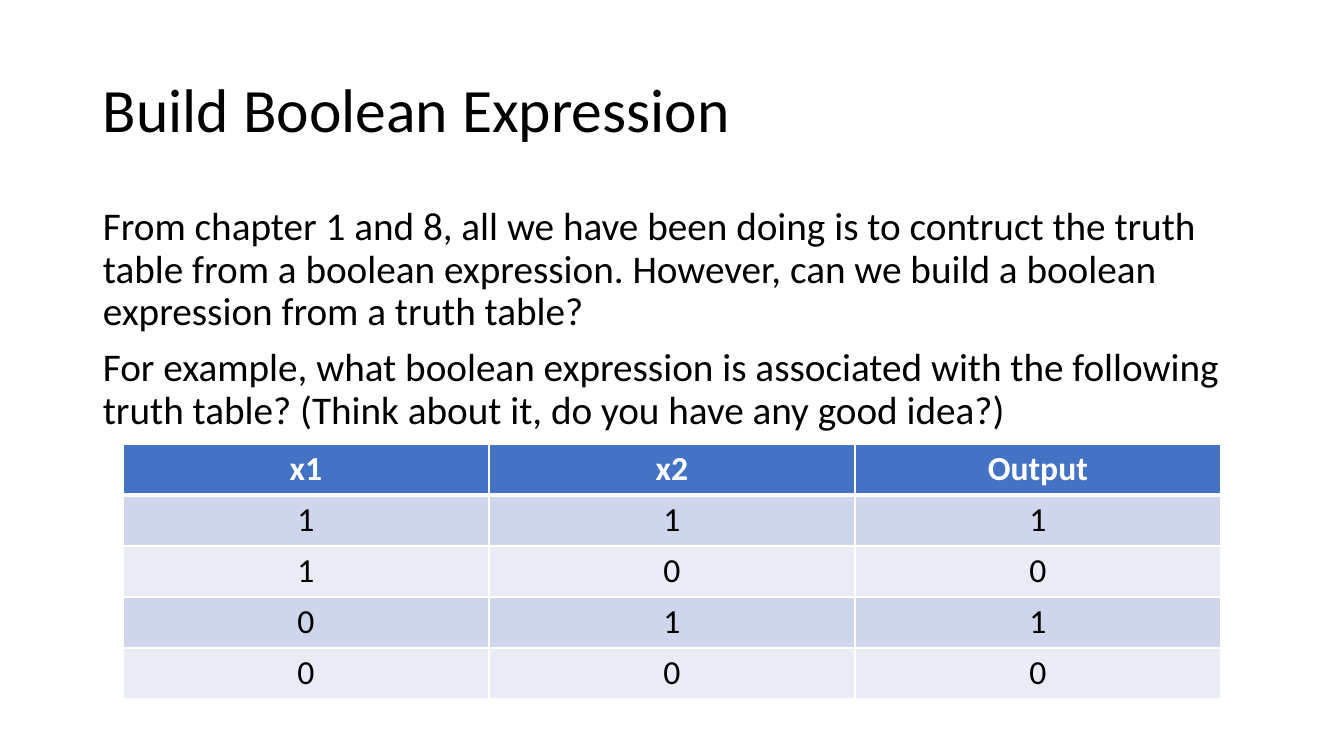
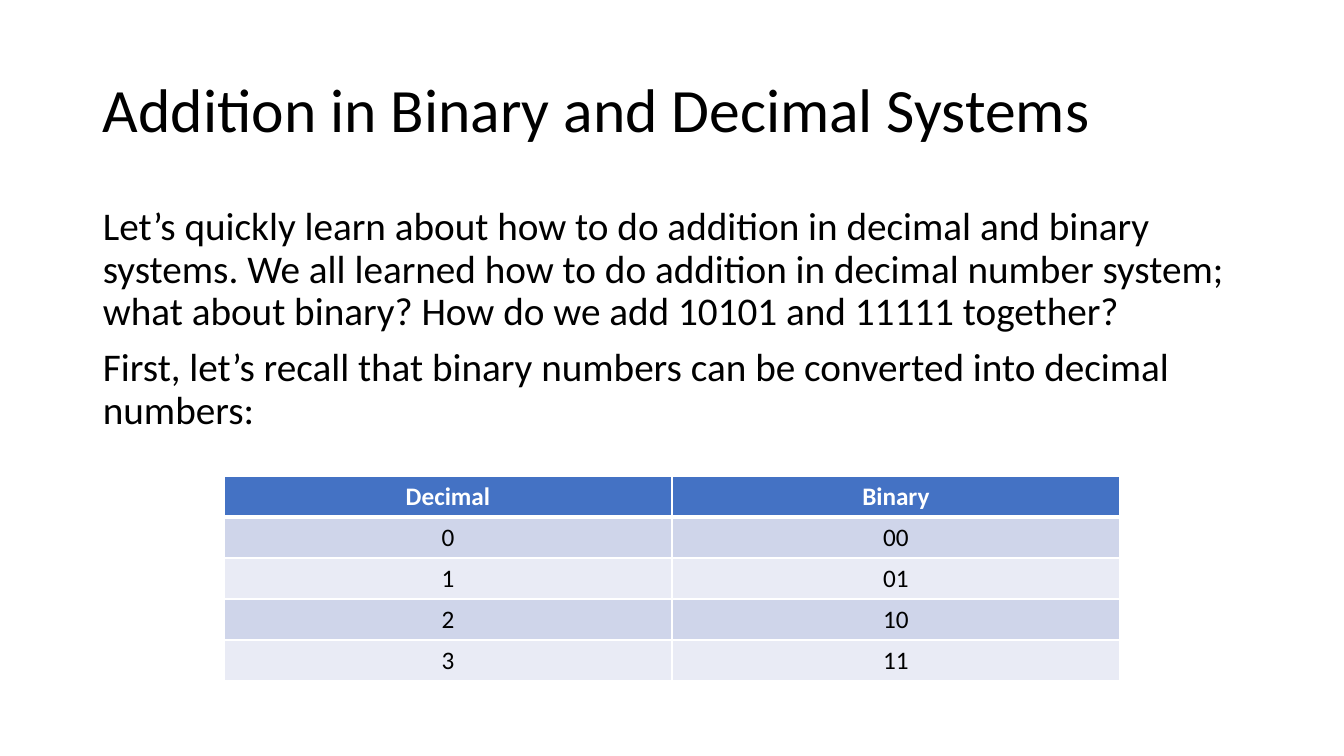
from dataclasses import dataclass

from lxml.etree import SubElement
from pptx import Presentation
from pptx.dml.color import RGBColor as RGB
from pptx.enum.text import MSO_ANCHOR as ANCHOR, PP_ALIGN as ALIGN
from pptx.oxml.ns import qn
from pptx.util import Emu, Pt


@dataclass(frozen=True)
class Theme:
    font: str = "Calibri"
    ink: str = "000000"
    paper: str = "FFFFFF"
    header: str = "4472C4"
    bands: tuple = ("CFD5EA", "E9EBF5")
    title_size: int = 44
    body_size: int = 28
    line_spacing: float = 0.9
    para_gap: int = 10
    rule: int = 1
    header_rule: int = 3


THEME = Theme()
SLIDE_W, SLIDE_H = 1344, 756
SCALE = 12192000 / SLIDE_W
TITLE_BOX = (93, 40, 1159, 146)
BODY_BOX = (93, 202, 1159, 480)

SLIDES = [
    {
        "title": "Build Boolean Expression",
        "body": [
            "From chapter 1 and 8, all we have been doing is to contruct the truth table "
            "from a boolean expression. However, can we build a boolean expression from a "
            "truth table?",
            "For example, what boolean expression is associated with the following truth "
            "table? (Think about it, do you have any good idea?)",
        ],
        "table": {
            "rows": [
                ("x1", "x2", "Output"),
                ("1", "1", "1"),
                ("1", "0", "0"),
                ("0", "1", "1"),
                ("0", "0", "0"),
            ],
            "top": 444, "col_w": 366, "row_h": 51, "size": 24, "anchor": ANCHOR.MIDDLE,
        },
    },
    {
        "title": "Addition in Binary and Decimal Systems",
        "body": [
            "Let’s quickly learn about how to do addition in decimal and binary systems. "
            "We all learned how to do addition in decimal number system; what about binary? "
            "How do we add 10101 and 11111 together?",
            "First, let’s recall that binary numbers can be converted into decimal numbers:",
        ],
        "table": {
            "rows": [
                ("Decimal", "Binary"),
                ("0", "00"),
                ("1", "01"),
                ("2", "10"),
                ("3", "11"),
            ],
            "top": 476, "col_w": 448, "row_h": 41, "size": 18, "anchor": ANCHOR.TOP,
        },
    },
]


def px(n):
    return Emu(round(n * SCALE))


def style_font(p, size, color, bold=False):
    for r in p.runs:
        r.font.name = THEME.font
        r.font.size = Pt(size)
        r.font.bold = bold
        r.font.color.rgb = RGB.from_string(color)


def add_text(s, box, paragraphs, size, anchor=ANCHOR.TOP):
    tf = s.shapes.add_textbox(*map(px, box)).text_frame
    tf.word_wrap = True
    tf.vertical_anchor = anchor
    for i, text in enumerate(paragraphs):
        p = tf.add_paragraph() if i else tf.paragraphs[0]
        p.text = text
        p.line_spacing = THEME.line_spacing
        if i:
            p.space_before = Pt(THEME.para_gap)
        style_font(p, size, THEME.ink)


def add_borders(cell, top, bottom):
    tc_pr = cell._tc.get_or_add_tcPr()
    for side, width in (("L", THEME.rule), ("R", THEME.rule), ("T", top), ("B", bottom)):
        ln = SubElement(tc_pr, qn(f"a:ln{side}"), w=str(Pt(width)))
        fill = SubElement(ln, qn("a:solidFill"))
        SubElement(fill, qn("a:srgbClr"), val=THEME.paper)


def add_grid(s, rows, top, col_w, row_h, size, anchor):
    n_rows, n_cols = len(rows), len(rows[0])
    width = col_w * n_cols
    box = ((SLIDE_W - width) // 2, top, width, row_h * n_rows)
    table = s.shapes.add_table(n_rows, n_cols, *map(px, box)).table
    for i, row in enumerate(rows):
        is_header = i == 0
        fill = THEME.header if is_header else THEME.bands[(i - 1) % 2]
        color = THEME.paper if is_header else THEME.ink
        for j, text in enumerate(row):
            cell = table.cell(i, j)
            add_borders(cell,
                        THEME.header_rule if i == 1 else THEME.rule,
                        THEME.header_rule if is_header else THEME.rule)
            cell.fill.solid()
            cell.fill.fore_color.rgb = RGB.from_string(fill)
            cell.vertical_anchor = anchor
            p = cell.text_frame.paragraphs[0]
            p.text = text
            p.alignment = ALIGN.CENTER
            style_font(p, size, color, is_header)


def main():
    prs = Presentation()
    prs.slide_width, prs.slide_height = px(SLIDE_W), px(SLIDE_H)
    for content in SLIDES:
        s = prs.slides.add_slide(prs.slide_layouts[6])
        add_text(s, TITLE_BOX, [content["title"]], THEME.title_size, ANCHOR.MIDDLE)
        add_text(s, BODY_BOX, content["body"], THEME.body_size)
        add_grid(s, **content["table"])
    prs.save("out.pptx")


if __name__ == "__main__":
    main()
